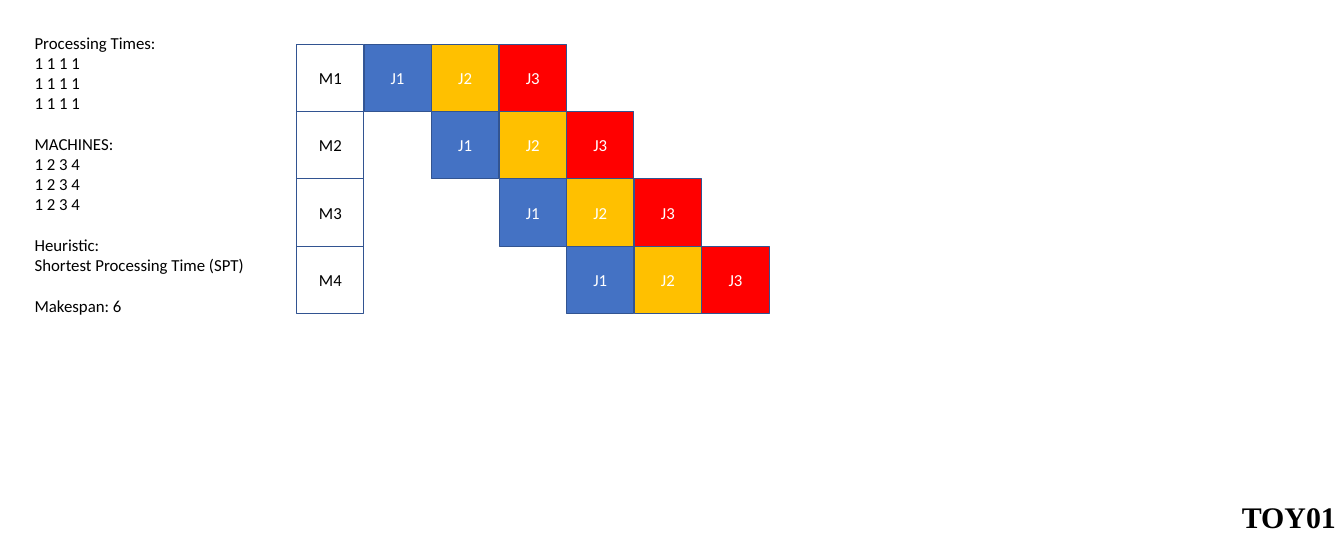
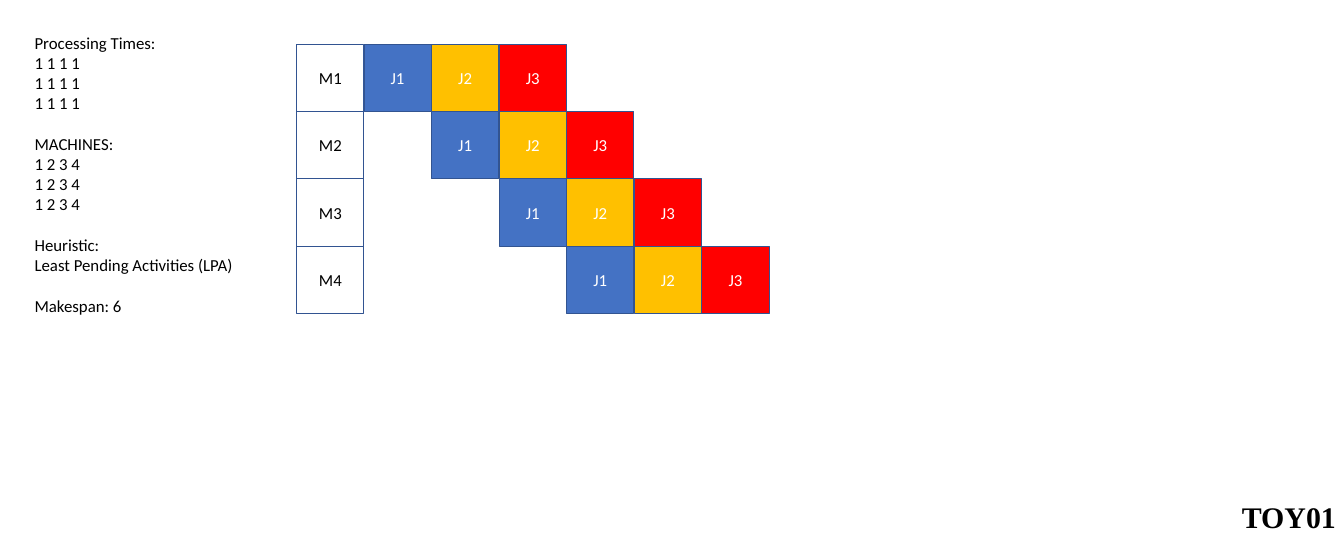
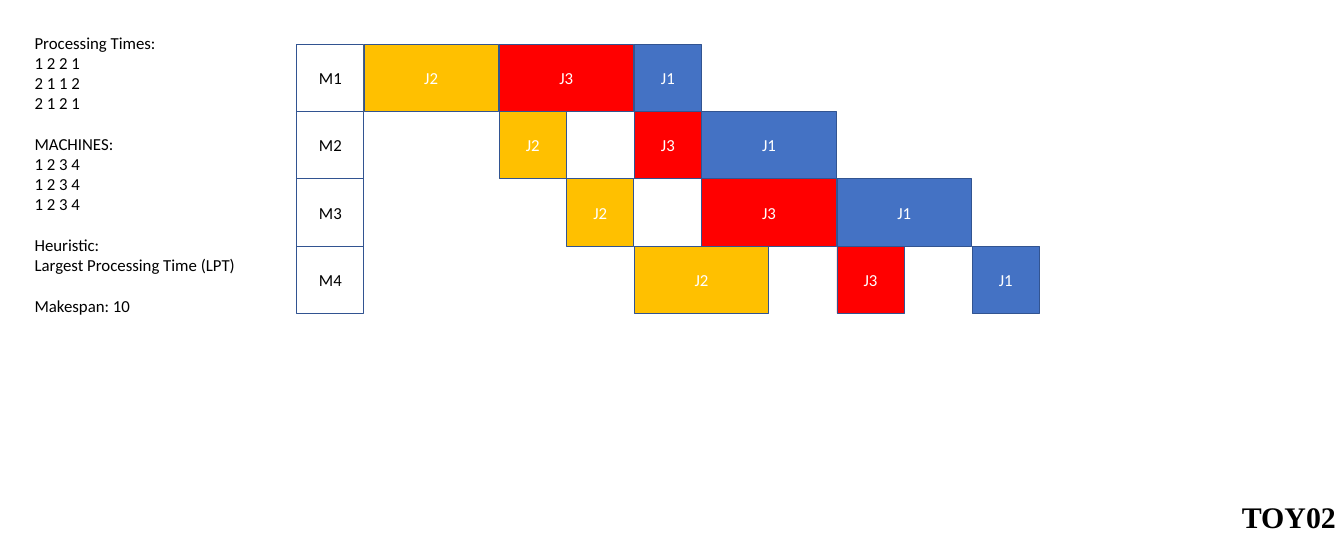
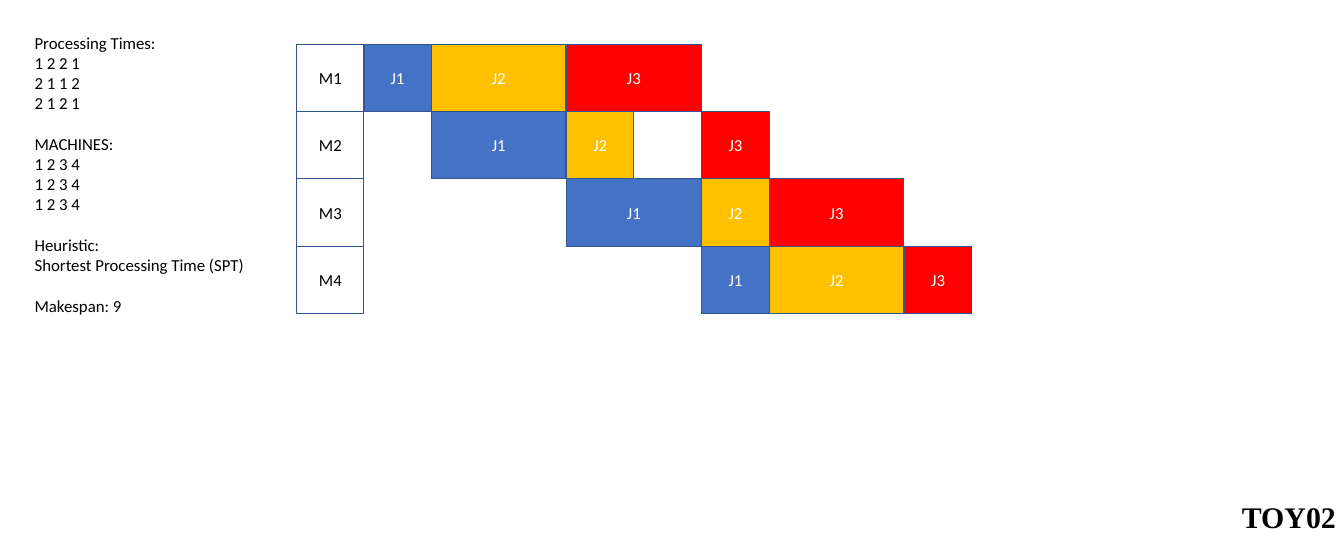
from pptx import Presentation
from pptx.dml.color import RGBColor
from pptx.enum import shapes, text
from pptx.util import Pt

BODY_FONT = "Calibri"
TITLE_FONT = "Times New Roman"
BLACK = "000000"
WHITE = "FFFFFF"
OUTLINE = "325491"
JOB_COLOURS = {"J1": "4472C4", "J2": "FFC000", "J3": "FF0000"}

CELL = 72
TIME_STEP = 72.4
CHART_LEFT = 318
CHART_TOP = 47.5
LINE_HEIGHT = 22

MACHINE_COUNT = 4
TOY01 = {"J1": [1, 1, 1, 1], "J2": [1, 1, 1, 1], "J3": [1, 1, 1, 1]}
TOY02 = {"J1": [1, 2, 2, 1], "J2": [2, 1, 1, 2], "J3": [2, 1, 2, 1]}

EXAMPLES = [
    ("TOY01", TOY01, "Shortest Processing Time (SPT)", ["J1", "J2", "J3"]),
    ("TOY01", TOY01, "Least Pending Activities (LPA)", ["J1", "J2", "J3"]),
    ("TOY02", TOY02, "Largest Processing Time (LPT)", ["J2", "J3", "J1"]),
    ("TOY02", TOY02, "Shortest Processing Time (SPT)", ["J1", "J2", "J3"]),
]


def colour(value):
    return RGBColor.from_string(value)


def write(paragraph, content, size=18, font=BODY_FONT, fill=BLACK,
          bold=False, align=text.PP_ALIGN.LEFT, before=0):
    paragraph.alignment = align
    paragraph.space_before = Pt(before)
    run = paragraph.add_run()
    run.text = content
    run.font.size = Pt(size)
    run.font.name = font
    run.font.bold = bold
    run.font.color.rgb = colour(fill)


def add_text_box(slide, left, top, width, height, wrap):
    box = slide.shapes.add_textbox(Pt(left), Pt(top), Pt(width), Pt(height))
    box.text_frame.word_wrap = wrap
    return box.text_frame


def add_block(slide, label, left, machine, width=CELL, fill=None, ink=WHITE):
    block = slide.shapes.add_shape(
        shapes.MSO_SHAPE.RECTANGLE, Pt(left), Pt(CHART_TOP + machine * CELL),
        Pt(width), Pt(CELL))
    block.shadow.inherit = False
    if fill:
        block.fill.solid()
        block.fill.fore_color.rgb = colour(fill)
    else:
        block.fill.background()
    block.line.color.rgb = colour(OUTLINE)
    block.line.width = Pt(1)
    block.text_frame.vertical_anchor = text.MSO_ANCHOR.MIDDLE
    write(block.text_frame.paragraphs[0], label, fill=ink,
          align=text.PP_ALIGN.CENTER)


def plan_schedule(times, order):
    machine_free = [0] * MACHINE_COUNT
    operations = []
    for job in order:
        job_free = 0
        for machine, duration in enumerate(times[job]):
            start = max(job_free, machine_free[machine])
            job_free = machine_free[machine] = start + duration
            operations.append((job, machine, start, duration))
    return operations, max(machine_free)


def add_summary(slide, times, heuristic, makespan):
    machines = " ".join(str(i + 1) for i in range(MACHINE_COUNT))
    sections = [
        ["Processing Times:"] + [" ".join(map(str, row)) for row in times.values()],
        ["MACHINES:"] + [machines] * len(times),
        ["Heuristic:", heuristic],
        [f"Makespan: {makespan}"],
    ]
    frame = add_text_box(slide, 30, 31, 244, 312, True)
    paragraph = frame.paragraphs[0]
    for section_index, section in enumerate(sections):
        for line_index, line in enumerate(section):
            if section_index or line_index:
                paragraph = frame.add_paragraph()
            gap = LINE_HEIGHT if section_index and not line_index else 0
            write(paragraph, line, before=gap)


def add_gantt(slide, operations):
    for machine in range(MACHINE_COUNT):
        add_block(slide, f"M{machine + 1}", CHART_LEFT, machine, ink=BLACK)
    for job, machine, start, duration in operations:
        add_block(slide, job, CHART_LEFT + CELL + start * TIME_STEP, machine,
                  width=duration * CELL, fill=JOB_COLOURS[job])


def add_title(slide, title):
    frame = add_text_box(slide, 1323.5, 530, 116.5, 46, False)
    write(frame.paragraphs[0], title, size=32, font=TITLE_FONT, bold=True)


def main():
    presentation = Presentation()
    presentation.slide_width = Pt(1440)
    presentation.slide_height = Pt(576)
    for title, times, heuristic, order in EXAMPLES:
        slide = presentation.slides.add_slide(presentation.slide_layouts[6])
        operations, makespan = plan_schedule(times, order)
        add_summary(slide, times, heuristic, makespan)
        add_gantt(slide, operations)
        add_title(slide, title)
    presentation.save("out.pptx")


main()
